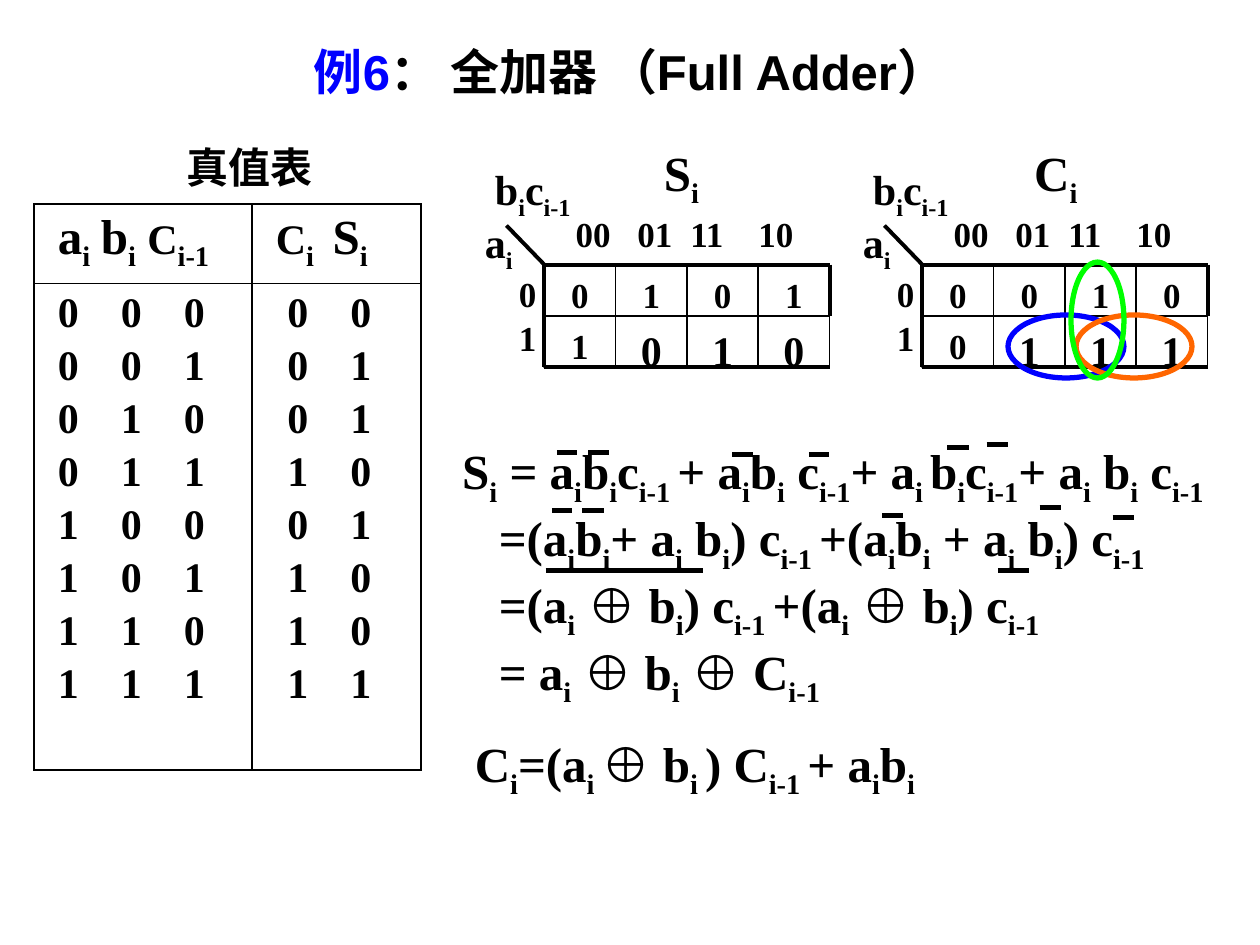
from lxml.etree import SubElement
from pptx import Presentation
from pptx.dml.color import RGBColor
from pptx.enum.shapes import MSO_CONNECTOR, MSO_SHAPE
from pptx.enum.text import MSO_ANCHOR, PP_ALIGN
from pptx.oxml.ns import qn
from pptx.util import Inches, Pt

COLORS = {"ink": "000000", "blue": "0000FF", "orange": "FF6600", "green": "00FF00"}
SERIF = "Times New Roman"
SANS = "Arial"
PLAIN = {"space_before": Pt(0)}


def color(name):
    return RGBColor.from_string(COLORS[name])


def apply_format(target, values):
    for name, value in values.items():
        setattr(target, name, value)


def add_runs(paragraph, text, size, font=SERIF, ink="ink"):
    for index, part in enumerate(text.replace("}", "{").split("{")):
        if not part:
            continue
        run = paragraph.add_run()
        run.text = part
        apply_format(run.font, {"name": font, "size": Pt(size), "bold": True})
        run.font.color.rgb = color(ink)
        if index % 2:
            run._r.get_or_add_rPr().set("baseline", "-25000")


def add_tabs(paragraph, positions):
    tab_list = SubElement(paragraph._p.get_or_add_pPr(), qn("a:tabLst"))
    for position in positions:
        SubElement(tab_list, qn("a:tab"), pos=str(Inches(position)), algn="l")


def next_paragraph(frame, index):
    return frame.add_paragraph() if index else frame.paragraphs[0]


def add_text(slide, box, lines, size, font=SERIF, wrap=True, later=PLAIN, every=PLAIN):
    frame = slide.shapes.add_textbox(*map(Inches, box)).text_frame
    frame.word_wrap = wrap
    for index, line in enumerate(lines):
        paragraph = next_paragraph(frame, index)
        apply_format(paragraph, every)
        if index:
            apply_format(paragraph, later)
        add_runs(paragraph, line, size, font)
    return frame


def add_line(slide, x1, y1, x2, y2, width):
    line = slide.shapes.add_connector(MSO_CONNECTOR.STRAIGHT, *map(Inches, (x1, y1, x2, y2)))
    line.line.color.rgb = color("ink")
    line.line.width = Pt(width)
    SubElement(line._element.spPr, qn("a:effectLst"))


def add_outline(slide, kind, box, ink, width):
    shape = slide.shapes.add_shape(kind, *map(Inches, box))
    shape.shadow.inherit = False
    shape.fill.background()
    shape.line.color.rgb = color(ink)
    shape.line.width = Pt(width)
    return shape


def add_title(slide, box):
    frame = add_text(slide, box, [""], 28)
    paragraph = frame.paragraphs[0]
    paragraph.alignment = PP_ALIGN.CENTER
    add_runs(paragraph, "例6", 28, SANS, "blue")
    add_runs(paragraph, "： 全加器 （Full Adder）", 28, SANS)


def style_cell(cell, margin):
    cell.fill.background()
    apply_format(cell, {"margin_left": Inches(margin), "margin_right": Inches(0.05)})
    properties = cell._tc.get_or_add_tcPr()
    for index, side in enumerate(("a:lnL", "a:lnR", "a:lnT", "a:lnB")):
        border = properties.makeelement(qn(side), {"w": str(Pt(1))})
        fill = SubElement(border, qn("a:solidFill"))
        SubElement(fill, qn("a:srgbClr"), val=COLORS["ink"])
        properties.insert(index, border)


def add_truth_table(slide, box):
    left, top, width, height = box
    add_text(slide, (left + 1.11, top - 0.55, 1.21, 0.51), ["真值表"], 24, SANS, wrap=False)
    table = slide.shapes.add_table(2, 2, *map(Inches, box)).table
    apply_format(table, {"first_row": False, "horz_banding": False})
    for column, size in zip(table.columns, (1.73, 1.34)):
        column.width = Inches(size)
    for row, size in zip(table.rows, (0.57, 3.86)):
        row.height = Inches(size)
    headers = [
        ([("a{i}\tb{i}\t", 28), ("C", 24), ("{i-1}", 28)], (0.34, 0.71)),
        ([("C", 24), ("{i}\tS{i}", 28)], (0.45,)),
    ]
    for column, (pieces, tabs) in enumerate(headers):
        cell = table.cell(0, column)
        style_cell(cell, 0.19)
        paragraph = cell.text_frame.paragraphs[0]
        for text, size in pieces:
            add_runs(paragraph, text, size)
        add_tabs(paragraph, tabs)
    inputs = [(a, b, c) for a in (0, 1) for b in (0, 1) for c in (0, 1)]
    outputs = [(sum(bits) // 2, sum(bits) % 2) for bits in inputs]
    for column, (rows, margin) in enumerate(((inputs, 0.19), (outputs, 0.28))):
        cell = table.cell(1, column)
        style_cell(cell, margin)
        for index, bits in enumerate(rows):
            paragraph = next_paragraph(cell.text_frame, index)
            paragraph.space_before = Pt(3.8 if index else 0)
            add_runs(paragraph, "\t".join(map(str, bits)), 24)
            add_tabs(paragraph, (0.5, 1.0))


def add_karnaugh_map(slide, left, top, heading, heading_offset, values, large):
    cell_width, cell_height = 0.566, 0.407
    x, y = left + 0.57, top + 0.85
    xs = [x + cell_width * step for step in range(5)]
    ys = [y + cell_height * step for step in range(3)]
    for row, bits in enumerate(values):
        for column, bit in enumerate(bits):
            box = (xs[column], ys[row], cell_width, cell_height)
            shape = add_outline(slide, MSO_SHAPE.RECTANGLE, box, "ink", 1)
            frame = shape.text_frame
            apply_format(frame, {"vertical_anchor": MSO_ANCHOR.TOP, "margin_top": Inches(0.07)})
            paragraph = frame.paragraphs[0]
            paragraph.alignment = PP_ALIGN.CENTER
            add_runs(paragraph, bit, 24 if (row, column) in large else 20)
    for line_y, width in zip(ys, (2.25, 1, 2.25)):
        add_line(slide, xs[0], line_y, xs[4], line_y, width)
    for line_x, width in zip(xs[:4], (2.25, 1, 1, 1)):
        add_line(slide, line_x, ys[0], line_x, ys[2], width)
    add_line(slide, xs[4], ys[1], xs[4], ys[2], 1)
    add_line(slide, xs[4], ys[0], xs[4], ys[1], 2.25)
    add_line(slide, x - 0.3, y - 0.31, x, y, 2.25)
    columns = add_text(slide, (left + 0.72, top + 0.39, 2.11, 0.43), ["00\t01\t11\t10"], 20)
    add_tabs(columns.paragraphs[0], (0.49, 0.91, 1.45))
    add_text(slide, (left + 0.27, top + 0.97, 0.34, 0.7), ["0", "1"], 20,
             later={"space_before": Pt(9.6)}, every={"line_spacing": 0.65})
    add_text(slide, (left, top + 0.42, 0.58, 0.5), ["a{i}"], 24)
    add_text(slide, (left + 0.08, top, 1, 0.5), ["b{i}c{i-1}"], 24)
    add_text(slide, (left + heading_offset, top - 0.17, 0.83, 0.57), [heading], 28)


def add_loops(slide, left, top):
    loops = [(0, 0.42, 0.92, 0.5, "blue"), (0.54, 0.42, 0.92, 0.5, "orange"),
             (0.5, 0, 0.42, 0.92, "green")]
    for x, y, width, height, ink in loops:
        add_outline(slide, MSO_SHAPE.OVAL, (left + x, top + y, width, height), ink, 3)


def add_sum_equations(slide, box):
    left, top, width, height = box
    lines = [
        "S{i} = a{i}b{i}c{i-1 }+ a{i}b{i} c{i-1}+ a{i }b{i}c{i-1}+ a{i} b{i} c{i-1}",
        "=(a{i}b{i}+ a{i} b{i}) c{i-1 }+(a{i}b{i} + a{i} b{i}) c{i-1}",
        "=(a{i} ⊕ b{i}) c{i-1 }+(a{i} ⊕ b{i}) c{i-1}",
        "= a{i} ⊕ b{i} ⊕ C{i-1}",
    ]
    frame = add_text(slide, box, lines, 28)
    for paragraph in frame.paragraphs[1:]:
        paragraph._p.get_or_add_pPr().set("marL", str(Inches(0.29)))
    overlines = [
        (0.85, 0.14, 0.16), (1.1, 0.14, 0.16), (2.24, 0.16, 0.17), (2.85, 0.16, 0.16),
        (3.95, 0.1, 0.17), (4.26, 0.08, 0.17), (0.81, 0.6, 0.16), (1.05, 0.6, 0.17),
        (3.43, 0.64, 0.17), (4.68, 0.58, 0.17), (5.26, 0.66, 0.17), (0.76, 1.08, 1.25),
        (4.35, 1.08, 0.25),
    ]
    for x, y, length in overlines:
        add_line(slide, left + x, top + y, left + x + length, top + y, 3)


def main():
    presentation = Presentation()
    apply_format(presentation, {"slide_width": Inches(10), "slide_height": Inches(7.5)})
    slide = presentation.slides.add_slide(presentation.slide_layouts[6])
    add_truth_table(slide, (0.27, 1.62, 3.07, 4.43))
    add_text(slide, (3.67, 5.77, 4.75, 0.57), ["C{i}=(a{i }⊕ b{i }) C{i-1 }+ a{i}b{i}"], 28)
    add_karnaugh_map(slide, 3.75, 1.25, "S{i}", 1.42, ("0101", "1010"), {(1, 1), (1, 2), (1, 3)})
    add_karnaugh_map(slide, 6.75, 1.25, "C{i}", 1.36, ("0010", "0111"), {(1, 1), (1, 2), (1, 3)})
    add_loops(slide, 8, 2.08)
    add_sum_equations(slide, (3.57, 3.45, 6.68, 1.97))
    add_title(slide, (0, 0.28, 10, 0.57))
    presentation.save("out.pptx")


if __name__ == "__main__":
    main()
